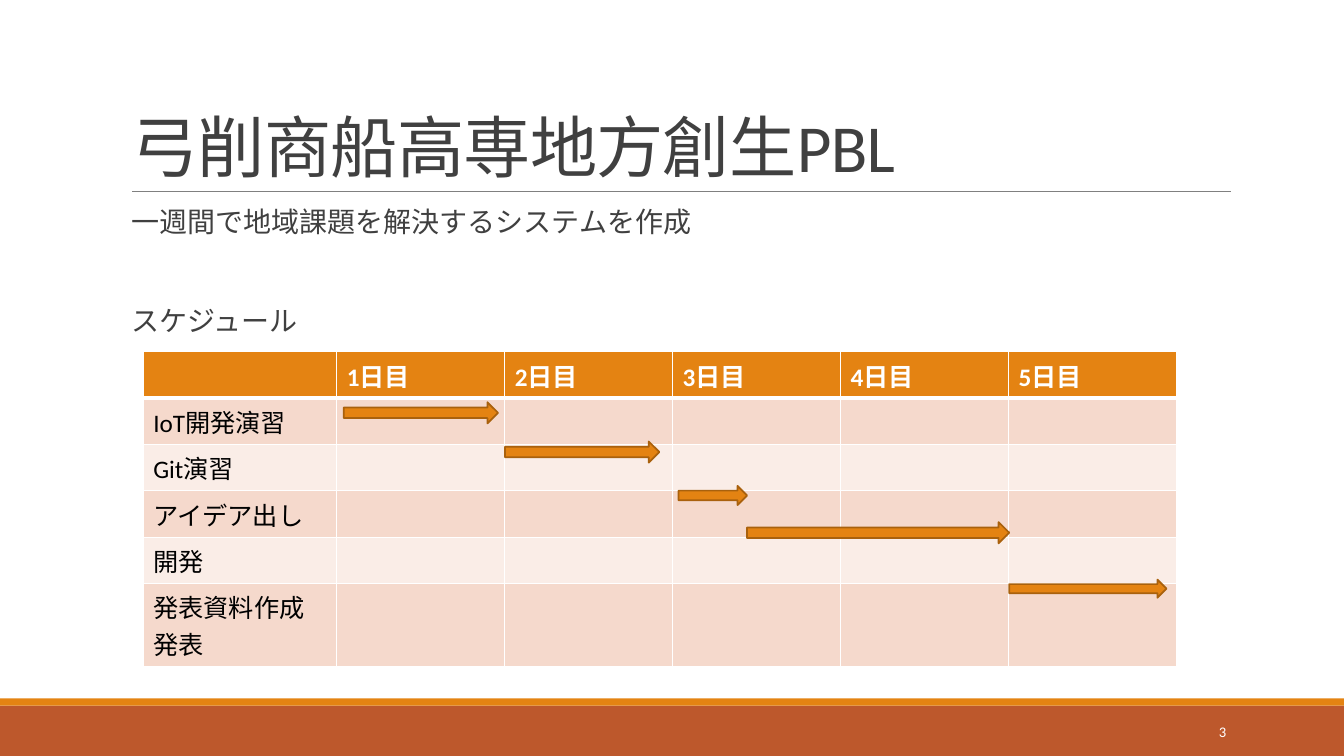
"""Build the one-week PBL schedule slide with a day-by-day table and arrows."""
from dataclasses import dataclass

from lxml import etree
from pptx import Presentation
from pptx.dml.color import RGBColor as RGB
from pptx.enum.shapes import MSO_CONNECTOR as CONN, MSO_SHAPE as SHAPE
from pptx.enum.text import MSO_ANCHOR as ANCHOR, MSO_AUTO_SIZE as AUTO, PP_ALIGN as ALIGN
from pptx.oxml.ns import qn
from pptx.util import Inches, Pt


@dataclass(frozen=True)
class Theme:
    latin: str = "Calibri"
    asian: str = "Noto Sans CJK JP"
    title: float = 48
    body: float = 20
    cell: float = 18
    number: float = 10.5
    text: str = "404040"
    black: str = "000000"
    white: str = "FFFFFF"
    rule: str = "808080"
    footer: str = "BD582C"
    accent: str = "E48312"
    outline: str = "A9610D"
    bands: tuple = ("F5D9CC", "FAEDE7")


T = Theme()


def style(p, size, color, bold=False, latin=T.latin):
    f = p.font
    f.size, f.bold, f.name = Pt(size), bold, latin
    f.color.rgb = RGB.from_string(color)
    rpr = p._p.pPr.find(qn("a:defRPr"))
    etree.SubElement(rpr, qn("a:ea")).set("typeface", T.asian)
    return rpr


def add_block(kind, x, y, w, h, fill, line=None):
    sp = s.shapes.add_shape(kind, Inches(x), Inches(y), Inches(w), Inches(h))
    sp.shadow.inherit = False
    sp.fill.solid()
    sp.fill.fore_color.rgb = RGB.from_string(fill)
    if line:
        sp.line.color.rgb = RGB.from_string(line)
        sp.line.width = Pt(1.25)
    else:
        sp.line.fill.background()


prs = Presentation()
prs.slide_width, prs.slide_height = Inches(13.33), Inches(7.5)
s = prs.slides.add_slide(prs.slide_layouts[1])
title, body = s.placeholders

add_block(SHAPE.RECTANGLE, 0, 7, 13.33, 0.5, T.footer)
add_block(SHAPE.RECTANGLE, 0, 6.93, 13.33, 0.07, T.accent)
rule = s.shapes.add_connector(CONN.STRAIGHT, Inches(1.31), Inches(1.9), Inches(12.21), Inches(1.9))
rule.line.color.rgb = RGB.from_string(T.rule)
rule.line.width = Pt(0.5)
etree.SubElement(rule._element.spPr, qn("a:effectLst"))

title.left, title.top, title.width, title.height = map(Inches, (1.2, 0.31, 11, 1.59))
tf = title.text_frame
tf.text = "弓削商船高専地方創生PBL"
tf.auto_size, tf.vertical_anchor = AUTO.NONE, ANCHOR.BOTTOM
p = tf.paragraphs[0]
p.alignment, p.line_spacing = ALIGN.LEFT, 0.85
style(p, T.title, T.text).set("spc", "-50")

body.left, body.top, body.width, body.height = map(Inches, (1.2, 2.02, 11, 4.4))
tf = body.text_frame
tf.text = "一週間で地域課題を解決するシステムを作成\nスケジュール"
tf.auto_size, tf.vertical_anchor = AUTO.NONE, ANCHOR.TOP
tf.margin_left = tf.margin_right = 0
for p, before in zip(tf.paragraphs, (12, 47)):
    p.line_spacing, p.space_before, p.space_after = 0.9, Pt(before), Pt(2)
    style(p, T.body, T.text, latin=T.asian)
    ppr = p._p.pPr
    ppr.set("marL", str(Inches(0.1)))
    ppr.set("indent", "0")
    ppr.find(qn("a:defRPr")).addprevious(etree.Element(qn("a:buNone")))

number = s.shapes.add_textbox(Inches(10.83), Inches(7.06), Inches(1.43), Inches(0.4))
tf = number.text_frame
tf.text, tf.word_wrap, tf.vertical_anchor = "3", True, ANCHOR.MIDDLE
p = tf.paragraphs[0]
p.alignment = ALIGN.RIGHT
style(p, T.number, T.white)

days = [f"{day}日目" for day in range(1, 6)]
tasks = ["IoT開発演習", "Git演習", "アイデア出し", "開発", "発表資料作成発表"]
rows = [["", *days]] + [[task] + [""] * len(days) for task in tasks]
heights = [0.46] * len(tasks) + [0.82]
frame = s.shapes.add_table(len(rows), len(rows[0]), Inches(1.42), Inches(3.49),
                           Inches(10.25), Inches(sum(heights)))
table = frame.table
for i, col in enumerate(table.columns):
    col.width = Inches((10.25 - 1.92) / len(days) if i else 1.92)
for i, (row, height) in enumerate(zip(rows, heights)):
    table.rows[i].height = Inches(height)
    header = i == 0
    for cell, text in zip(table.rows[i].cells, row):
        cell.fill.solid()
        cell.fill.fore_color.rgb = RGB.from_string(T.accent if header else T.bands[(i - 1) % 2])
        if header:
            border = etree.Element(qn("a:lnB"), w=str(Pt(3)))
            paint = etree.SubElement(border, qn("a:solidFill"))
            etree.SubElement(paint, qn("a:srgbClr"), val=T.white)
            cell._tc.tcPr.insert(0, border)
        if text:
            cell.text = text
            style(cell.text_frame.paragraphs[0], T.cell, T.white if header else T.black, header)

arrows = [(3.41, 3.99, 1.53, 0.21), (5.01, 4.38, 1.53, 0.21), (6.73, 4.82, 0.68, 0.19),
          (7.41, 5.18, 2.6, 0.21), (10.01, 5.75, 1.56, 0.18)]
for box in arrows:
    add_block(SHAPE.RIGHT_ARROW, *box, T.accent, T.outline)

prs.save("out.pptx")
